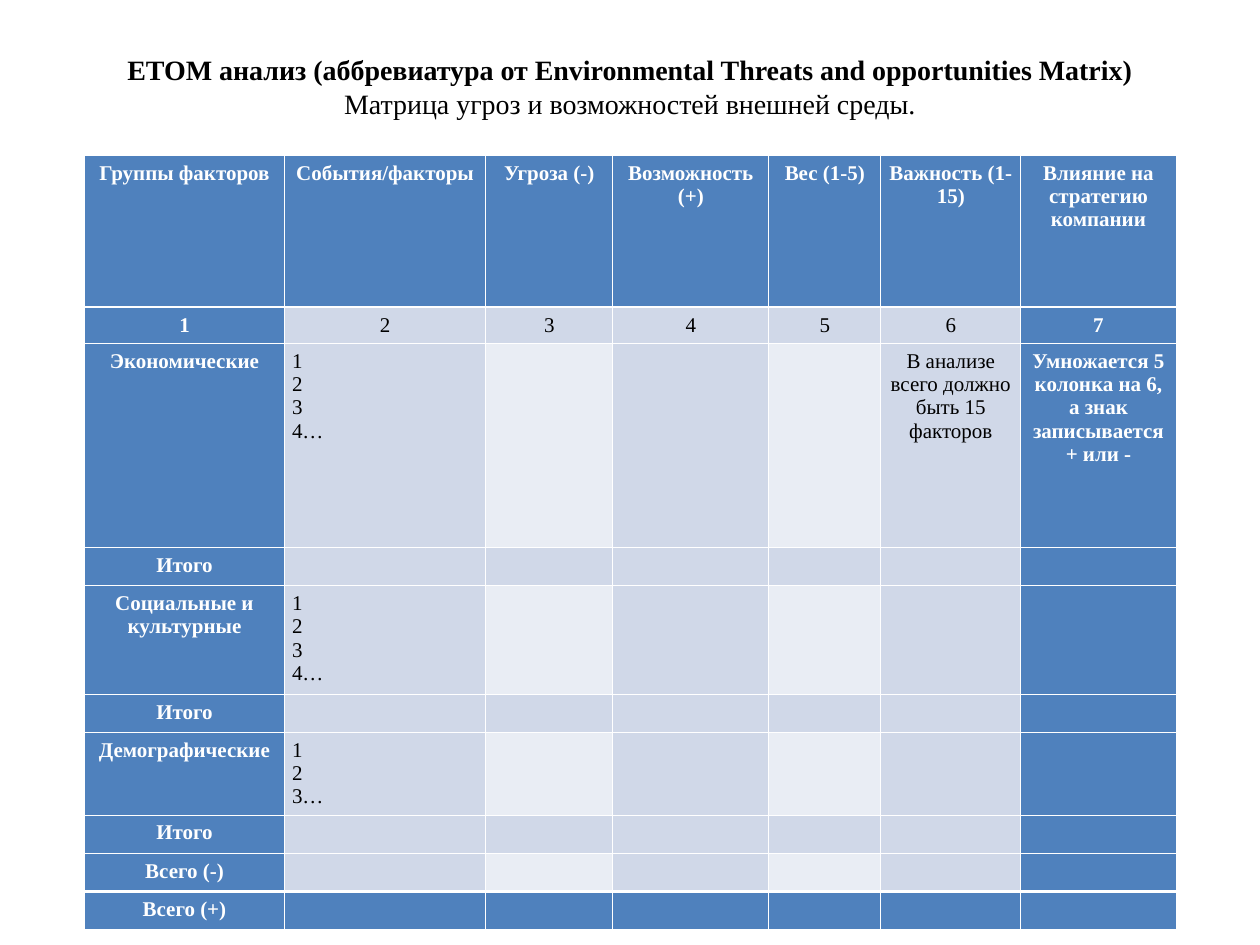
"""Build the slide with the ETOM matrix of threats and opportunities."""

from dataclasses import dataclass

from lxml.etree import SubElement
from pptx import Presentation
from pptx.dml.color import RGBColor
from pptx.enum.text import MSO_ANCHOR as Anchor, PP_ALIGN as Align
from pptx.oxml.ns import qn
from pptx.util import Pt

COLORS = {
    "text": "000000",
    "white": "FFFFFF",
    "accent": "4F81BD",
    "band": "D0D8E8",
    "light": "E9EDF4",
}
FONT = "Times New Roman"
TITLE_SIZE = 16
TABLE_SIZE = 12
THIN, THICK = 0.45, 1.47
TITLE_LINES = [
    ("ЕТОМ анализ (аббревиатура от Environmental Threats and opportunities Matrix)", True),
    ("Матрица угроз и возможностей внешней среды.", False),
]
COLUMN_WIDTHS = [114.3, 115, 72.6, 89.2, 64, 80, 88.8]
LIGHT_COLUMNS = (2, 4)
LIST_COLUMN = 1


@dataclass
class MatrixRow:
    """One row of the matrix; texts maps a column to its paragraphs."""

    texts: dict[int, list[str]]
    height: float = 16
    striped: bool = False


def numbered(last: int) -> list[str]:
    """Return the numbers up to last, the final one with an ellipsis."""
    return [str(number) for number in range(1, last)] + [f"{last}…"]


HEADINGS = [
    "Группы факторов", "События/факторы", "Угроза (-)", "Возможность (+)",
    "Вес (1-5)", "Важность (1-15)", "Влияние на стратегию компании",
]
TOTAL = MatrixRow({0: ["Итого"]})
ROWS = [
    MatrixRow({column: [text] for column, text in enumerate(HEADINGS)}, 87),
    MatrixRow({column: [str(column + 1)] for column in range(len(HEADINGS))}),
    MatrixRow({
        0: ["Экономические"],
        1: numbered(4),
        5: ["В анализе всего должно быть 15 факторов"],
        6: ["Умножается 5 колонка на 6, а знак записывается + или -"],
    }, 116.6, True),
    TOTAL,
    MatrixRow({0: ["Социальные и культурные"], 1: numbered(4)}, 62, True),
    TOTAL,
    MatrixRow({0: ["Демографические"], 1: numbered(3)}, 46.8, True),
    TOTAL,
    MatrixRow({0: ["Всего (-)"]}, striped=True),
    MatrixRow({0: ["Всего (+)"]}),
]


def add_run(paragraph, text: str, size: float, color: str, bold: bool) -> None:
    """Add one formatted run to a paragraph."""
    run = paragraph.add_run()
    run.text = text
    run.font.name = FONT
    run.font.size = Pt(size)
    run.font.bold = bold
    run.font.color.rgb = RGBColor.from_string(COLORS[color])


def add_title(slide) -> None:
    """Place the two-line title in its placeholder."""
    title = slide.shapes.title
    title.left, title.top, title.width, title.height = Pt(36), Pt(21.6), Pt(648), Pt(55.4)
    frame = title.text_frame
    frame.word_wrap = True
    frame.vertical_anchor = Anchor.MIDDLE
    paragraph = frame.paragraphs[0]
    paragraph.alignment = Align.CENTER
    for index, (text, bold) in enumerate(TITLE_LINES):
        if index:
            paragraph.add_line_break()
            line_break = paragraph._p.findall(qn("a:br"))[-1]
            SubElement(line_break, qn("a:rPr"), sz=str(TITLE_SIZE * 100))
        add_run(paragraph, text, TITLE_SIZE, "text", bold)


def set_borders(cell, top: float, bottom: float) -> None:
    """Draw white lines on the four sides of a cell."""
    properties = cell._tc.get_or_add_tcPr()
    sides = {"lnL": THIN, "lnR": THIN, "lnT": top, "lnB": bottom}
    for position, (side, width) in enumerate(sides.items()):
        line = SubElement(properties, qn(f"a:{side}"), w=str(int(Pt(width))))
        fill = SubElement(line, qn("a:solidFill"))
        SubElement(fill, qn("a:srgbClr"), val=COLORS["white"])
        properties.insert(position, line)


def fill_cell(cell, paragraphs: list[str], fill: str, align: Align) -> None:
    """Set the fill, margins and text of a cell."""
    cell.fill.solid()
    cell.fill.fore_color.rgb = RGBColor.from_string(COLORS[fill])
    cell.margin_left = cell.margin_right = Pt(4.3)
    cell.margin_top = cell.margin_bottom = Pt(3.6)
    frame = cell.text_frame
    heading = fill == "accent"
    for index, text in enumerate(paragraphs):
        paragraph = frame.add_paragraph() if index else frame.paragraphs[0]
        paragraph.alignment = align
        add_run(paragraph, text, TABLE_SIZE, "white" if heading else "text", heading)
    if not paragraphs:
        SubElement(frame.paragraphs[0]._p, qn("a:endParaRPr"), sz=str(TABLE_SIZE * 100))


def add_matrix(slide) -> None:
    """Add the matrix table."""
    last_row, last_column = len(ROWS) - 1, len(COLUMN_WIDTHS) - 1
    table = slide.shapes.add_table(
        len(ROWS), len(COLUMN_WIDTHS), Pt(48.3), Pt(88.6),
        Pt(sum(COLUMN_WIDTHS)), Pt(sum(row.height for row in ROWS)),
    ).table
    table.horz_banding = False
    for column, width in zip(table.columns, COLUMN_WIDTHS):
        column.width = Pt(width)
    for row_index, row in enumerate(ROWS):
        table.rows[row_index].height = Pt(row.height)
        top = THICK if row_index in (1, last_row) else THIN
        bottom = THICK if row_index in (0, last_row - 1) else THIN
        for column in range(last_column + 1):
            if row_index in (0, last_row) or column in (0, last_column):
                fill = "accent"
            else:
                fill = "light" if row.striped and column in LIGHT_COLUMNS else "band"
            listed = row.striped and column == LIST_COLUMN
            cell = table.cell(row_index, column)
            fill_cell(cell, row.texts.get(column, []), fill, Align.LEFT if listed else Align.CENTER)
            set_borders(cell, top, bottom)


def main() -> None:
    """Build and save the presentation."""
    presentation = Presentation()
    presentation.slide_width, presentation.slide_height = Pt(720), Pt(540)
    slide = presentation.slides.add_slide(presentation.slide_layouts[5])
    add_title(slide)
    add_matrix(slide)
    presentation.save("out.pptx")


if __name__ == "__main__":
    main()
